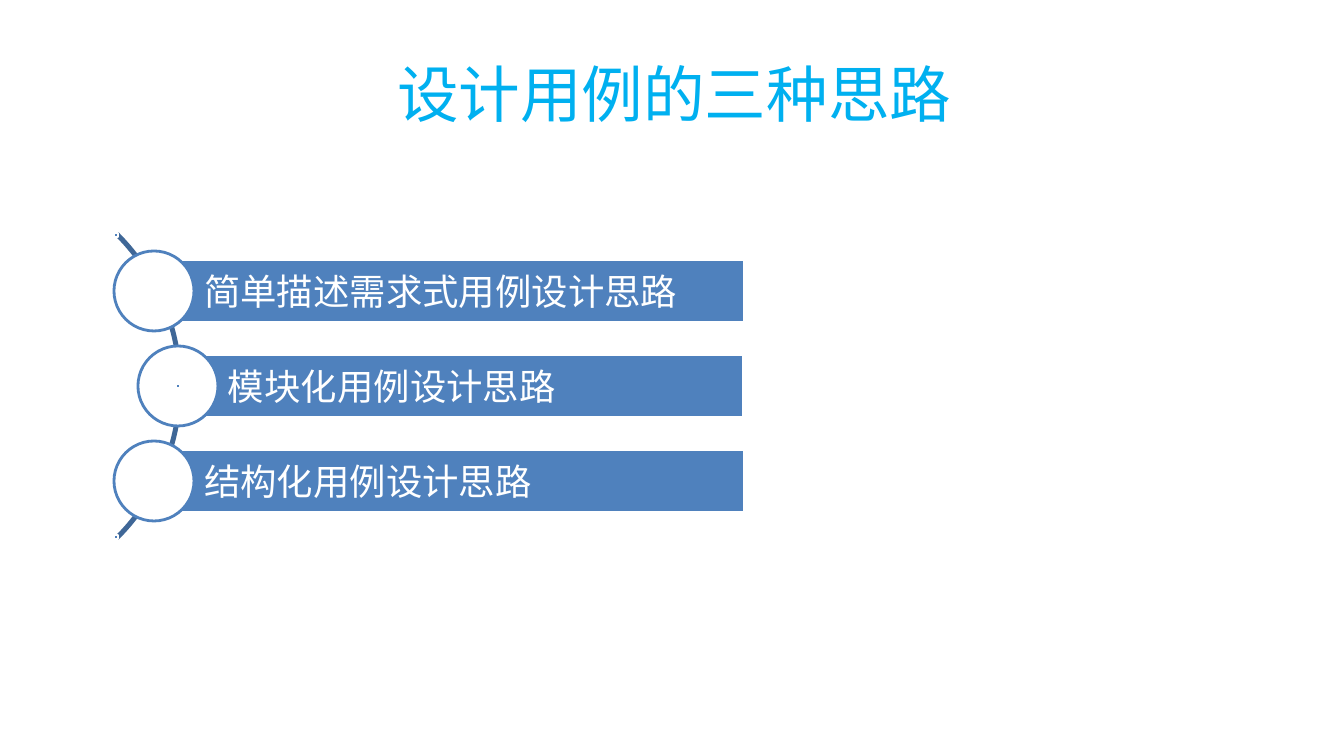
"""Build the slide on three ways of designing use cases."""
from dataclasses import dataclass

from lxml.etree import SubElement
from pptx import Presentation
from pptx.dml.color import RGBColor
from pptx.enum.shapes import MSO_SHAPE as Shp
from pptx.enum.text import MSO_ANCHOR as Anchor, PP_ALIGN as Align
from pptx.oxml.ns import qn
from pptx.util import Pt

EMU_PER_PX = 914400 / 100.8
FONT = "Noto Sans CJK SC"
COLORS = {"title": "00B0F0", "blue": "4F81BD", "arc": "3F6797", "white": "FFFFFF"}

MID_Y = 386
PITCH = 95
BAR_RIGHT = 744
BAR_H = 63
CIRCLE = 80
DOT = 4
ARC = 431


@dataclass(frozen=True)
class Idea:
    text: str
    x: int


@dataclass(frozen=True)
class Dot:
    x: int
    y: int


IDEAS = [
    Idea("简单描述需求式用例设计思路", 154),
    Idea("模块化用例设计思路", 178),
    Idea("结构化用例设计思路", 154),
]
DOTS = [Dot(116, MID_Y - 151), Dot(178, MID_Y), Dot(116, MID_Y + 151)]


def px(n: float) -> int:
    """Turn px into EMU."""
    return round(n * EMU_PER_PX)


def add_shape(shapes, kind, x: float, y: float, w: float, h: float,
              fill: str | None, line: str):
    """Add a flat shape with a 2 pt outline."""
    sp = shapes.add_shape(kind, px(x), px(y), px(w), px(h))
    sp.shadow.inherit = False
    if fill:
        sp.fill.solid()
        sp.fill.fore_color.rgb = RGBColor.from_string(COLORS[fill])
    else:
        sp.fill.background()
    sp.line.color.rgb = RGBColor.from_string(COLORS[line])
    sp.line.width = Pt(2)
    return sp


def write(sp, text: str, size: int, color: str, align, left: int, pad: int) -> None:
    """Write one vertically centred line into a shape."""
    tf = sp.text_frame
    tf.word_wrap = True
    tf.vertical_anchor = Anchor.MIDDLE
    tf.margin_left = px(left)
    tf.margin_top = tf.margin_right = tf.margin_bottom = px(pad)
    p = tf.paragraphs[0]
    p.alignment = align
    r = p.add_run()
    r.text = text
    r.font.size = Pt(size)
    r.font.name = FONT
    r.font.color.rgb = RGBColor.from_string(COLORS[color])
    SubElement(r.font._element, qn("a:ea"), typeface=FONT)


def add_idea(shapes, idea: Idea, y: int) -> None:
    """Add a bar and the circle centred on its left edge."""
    bar = add_shape(shapes, Shp.RECTANGLE, idea.x, y - BAR_H / 2,
                    BAR_RIGHT - idea.x, BAR_H, "blue", "white")
    write(bar, idea.text, 26, "white", Align.LEFT, 50, 7)
    add_shape(shapes, Shp.OVAL, idea.x - CIRCLE / 2, y - CIRCLE / 2,
              CIRCLE, CIRCLE, "white", "blue")


def main() -> None:
    """Build and save the slide."""
    prs = Presentation()
    prs.slide_width, prs.slide_height = px(1344), px(756)
    s = prs.slides.add_slide(prs.slide_layouts[6])

    title = s.shapes.add_textbox(px(67), px(30), px(1210), px(126))
    write(title, "设计用例的三种思路", 44, "title", Align.CENTER, 10, 5)

    shapes = s.shapes.add_group_shape().shapes
    arc = add_shape(shapes, Shp.BLOCK_ARC, -250, MID_Y - ARC / 2, ARC, ARC, None, "arc")
    for i, value in enumerate((189, 27, 0.005)):
        arc.adjustments[i] = value
    for i, idea in enumerate(IDEAS):
        add_idea(shapes, idea, MID_Y + (i - 1) * PITCH)
    for dot in DOTS:
        add_shape(shapes, Shp.RECTANGLE, dot.x - DOT / 2, dot.y - DOT / 2,
                  DOT, DOT, "blue", "white")

    prs.save("out.pptx")


if __name__ == "__main__":
    main()
